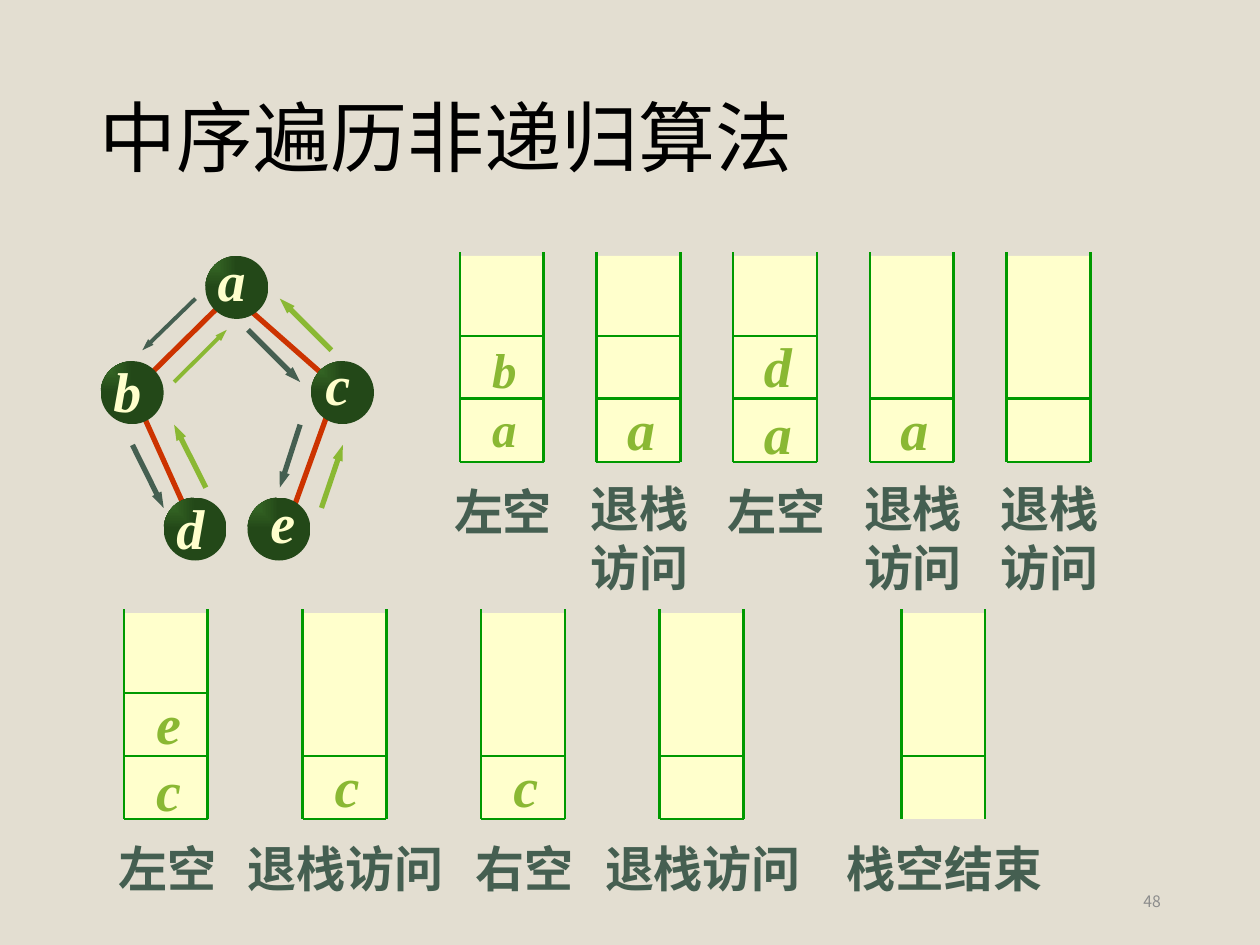
from lxml import etree
from pptx import Presentation
from pptx.dml.color import RGBColor
from pptx.enum.shapes import MSO_CONNECTOR, MSO_SHAPE
from pptx.enum.text import MSO_ANCHOR, PP_ALIGN
from pptx.oxml.ns import qn
from pptx.util import Cm, Pt

STRAIGHT = MSO_CONNECTOR.STRAIGHT
RECT, OVAL = MSO_SHAPE.RECTANGLE, MSO_SHAPE.OVAL
MIDDLE = MSO_ANCHOR.MIDDLE
LEFT, CENTER, RIGHT = PP_ALIGN.LEFT, PP_ALIGN.CENTER, PP_ALIGN.RIGHT
CJK, SERIF = "Noto Sans CJK SC", "Times New Roman"
CREAM, GREEN, LIME, SLATE, RED = "FFFFCC", "009900", "8AB833", "455F51", "CC3300"
LETTER = {"name": SERIF, "bold": True, "italic": True}
LABEL = {"name": SERIF, "bold": True}
rgb = RGBColor.from_string

prs = Presentation()
prs.slide_width, prs.slide_height = Cm(25.4), Cm(19.05)
s = prs.slides.add_slide(prs.slide_layouts[5])
s.background.fill.solid()
s.background.fill.fore_color.rgb = rgb("E3DED1")


def add_line(x1, y1, x2, y2, color, width, arrow=False):
    c = s.shapes.add_connector(STRAIGHT, Cm(x1), Cm(y1), Cm(x2), Cm(y2))
    c.line.color.rgb = rgb(color)
    c.line.width = Pt(width)
    if arrow:
        ln = c.line._get_or_add_ln()
        etree.SubElement(ln, qn("a:tailEnd"), type="triangle", w="sm", len="med")
    etree.SubElement(c._element.spPr, qn("a:effectLst"))


def add_text(cx, cy, width, lines, size, color, fmt, align=CENTER):
    height = 0.042 * size * len(lines)
    sp = s.shapes.add_textbox(Cm(cx - width / 2), Cm(cy - height / 2), Cm(width), Cm(height))
    tf = sp.text_frame
    for name, value in {"margin_left": 0, "margin_right": 0, "margin_top": 0,
                        "margin_bottom": 0, "word_wrap": True,
                        "vertical_anchor": MIDDLE}.items():
        setattr(tf, name, value)
    for i, line in enumerate(lines):
        p = tf.add_paragraph() if i else tf.paragraphs[0]
        p.alignment = align
        r = p.add_run()
        r.text = line
        for name, value in {**fmt, "size": Pt(size)}.items():
            setattr(r.font, name, value)
        r.font.color.rgb = rgb(color)
        etree.SubElement(r._r.get_or_add_rPr(), qn("a:ea"), typeface=CJK)


title = s.shapes.title
title.left, title.top, title.width, title.height = Cm(1.75), Cm(1.02), Cm(21.9), Cm(3.68)
title.text_frame.vertical_anchor = MIDDLE
p = title.text_frame.paragraphs[0]
p.alignment, p.line_spacing = LEFT, 0.9
r = p.add_run()
r.text = "中序遍历非递归算法"
r.font.name, r.font.size = CJK, Pt(44)
r.font.color.rgb = rgb("000000")
etree.SubElement(r._r.get_or_add_rPr(), qn("a:ea"), typeface=CJK)

edges = [(6.68, 8.13, 5.84, 10.46), (2.87, 8.33, 3.73, 10.24),
         (5, 6.22, 6.68, 7.7), (4.37, 6.22, 2.87, 7.7)]
for edge in edges:
    add_line(*edge, RED, 3)

nodes = [("a", 4.78, 5.8, 4.67, 5.63), ("b", 2.67, 7.92, 2.57, 7.86),
         ("c", 6.91, 7.92, 6.81, 7.73), ("d", 3.94, 10.67, 3.84, 10.63),
         ("e", 5.63, 10.67, 5.7, 10.5)]
for letter, cx, cy, tx, ty in nodes:
    sp = s.shapes.add_shape(OVAL, Cm(cx - 0.64), Cm(cy - 0.64), Cm(1.27), Cm(1.27))
    sp.shadow.inherit = False
    sp.line.fill.background()
    sp.fill.gradient()
    for stop, color in zip(sp.fill.gradient_stops, ("3C7129", "234818")):
        stop.color.rgb = rgb(color)
    grad = sp._element.spPr.find(qn("a:gradFill"))
    grad.remove(grad.find(qn("a:lin")))
    focus = etree.SubElement(grad, qn("a:path"), path="rect")
    etree.SubElement(focus, qn("a:fillToRect"), r="100000", b="100000")
    add_text(tx, ty, 1.05, [letter], 32, CREAM, LETTER)

arrows = [(3.94, 6.02, 2.87, 7.06, SLATE, 2.25), (2.67, 8.97, 3.3, 10.24, SLATE, 3),
          (4.15, 9.83, 3.51, 8.56, LIME, 3), (3.51, 7.7, 4.57, 6.65, LIME, 2.25),
          (5, 6.65, 6.05, 7.7, SLATE, 3), (6.05, 8.56, 5.64, 9.83, SLATE, 3),
          (6.48, 10.24, 6.91, 8.97, LIME, 3), (6.68, 7.06, 5.64, 6.02, LIME, 3)]
for arrow in arrows:
    add_line(*arrow, arrow=True)

UPPER, LOWER, BASE = 1.69, 2.96, 4.23
VISIT = ["退栈", "访问"]
top_row = [("ba", 28, [UPPER, LOWER, BASE], ["左空"]),
           ("a", 32, [UPPER, LOWER, BASE], VISIT),
           ("da", 32, [UPPER, LOWER, BASE], ["左空"]),
           ("a", 32, [LOWER, BASE], VISIT),
           ("", 32, [LOWER, BASE], VISIT)]
bottom_row = [("ec", 32, [UPPER, LOWER, BASE], ["左空"]),
              ("c", 32, [LOWER, BASE], ["退栈访问"]),
              ("c", 32, [LOWER, BASE], ["右空"]),
              ("", 32, [LOWER, BASE], ["退栈访问"]),
              ("", 32, [LOWER], ["栈空结束"])]
top_lefts = [9.27 + 2.755 * i for i in range(5)]
bottom_lefts = [2.5 + 3.6 * i for i in range(4)] + [18.17]
CELL = 1.69
for y, lefts, stacks in [(5.08, top_lefts, top_row), (12.28, bottom_lefts, bottom_row)]:
    for x, (letters, size, levels, label) in zip(lefts, stacks):
        sp = s.shapes.add_shape(RECT, Cm(x), Cm(y + 0.08), Cm(CELL), Cm(4.15))
        sp.shadow.inherit = False
        sp.fill.solid()
        sp.fill.fore_color.rgb = rgb(CREAM)
        sp.line.fill.background()
        for level in levels:
            add_line(x, y + level, x + CELL, y + level, GREEN, 1.5)
        for side in (x, x + CELL):
            add_line(side, y, side, y + BASE, GREEN, 1.5)
        if letters:
            center = 2.95 if len(letters) == 2 else 3.55
            add_text(x + 0.9, y + center, 1.05, list(letters), size, LIME, LETTER)
        add_text(x + 0.87, y + 4.69 + 0.53 * len(label), 2 * len(label[0]) * 0.6 + 0.1,
                 label, 28, SLATE, LABEL)

add_text(20.8, 18.16, 5.2, ["48"], 9, "8C8C8C", {"name": CJK}, RIGHT)
prs.save("out.pptx")
